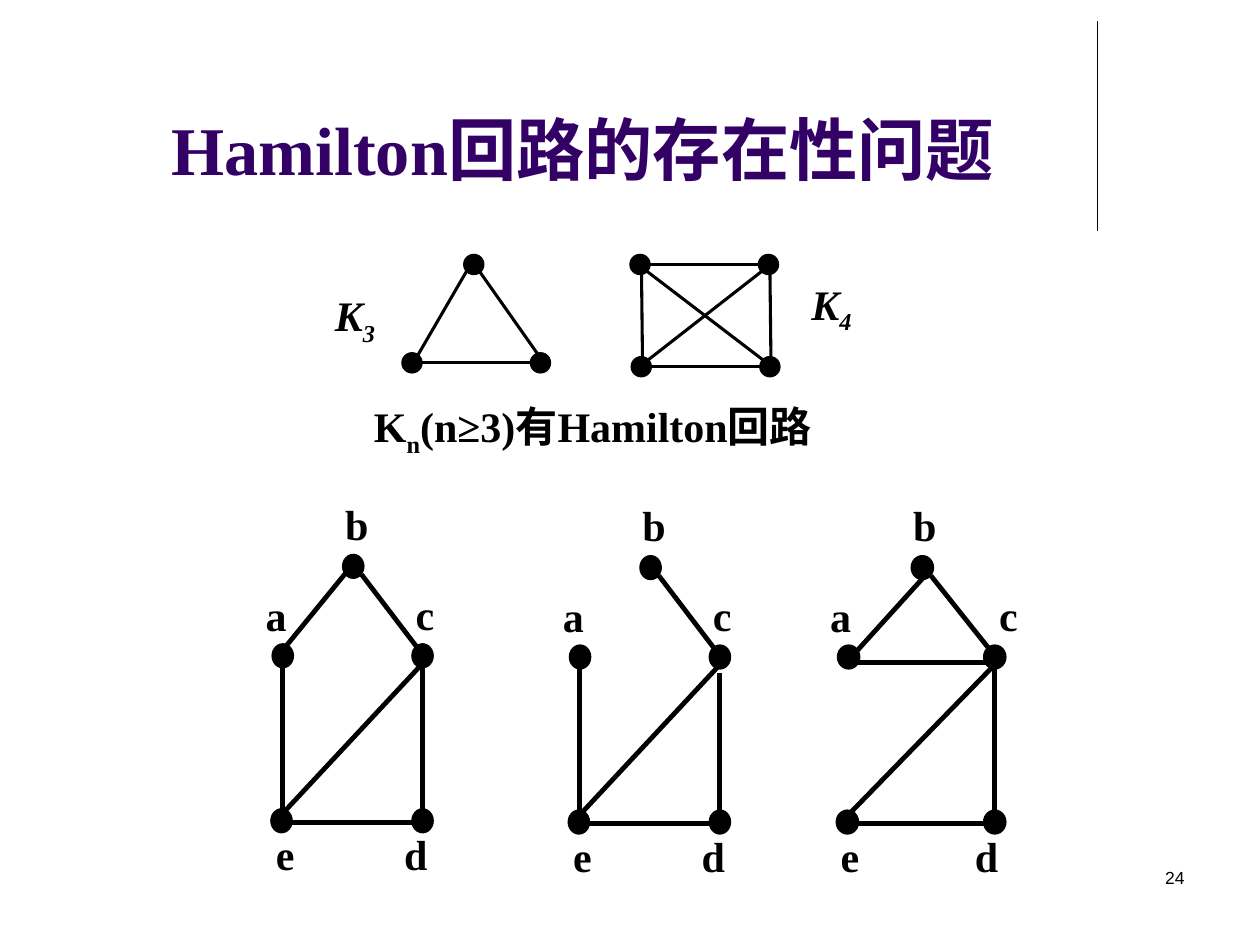
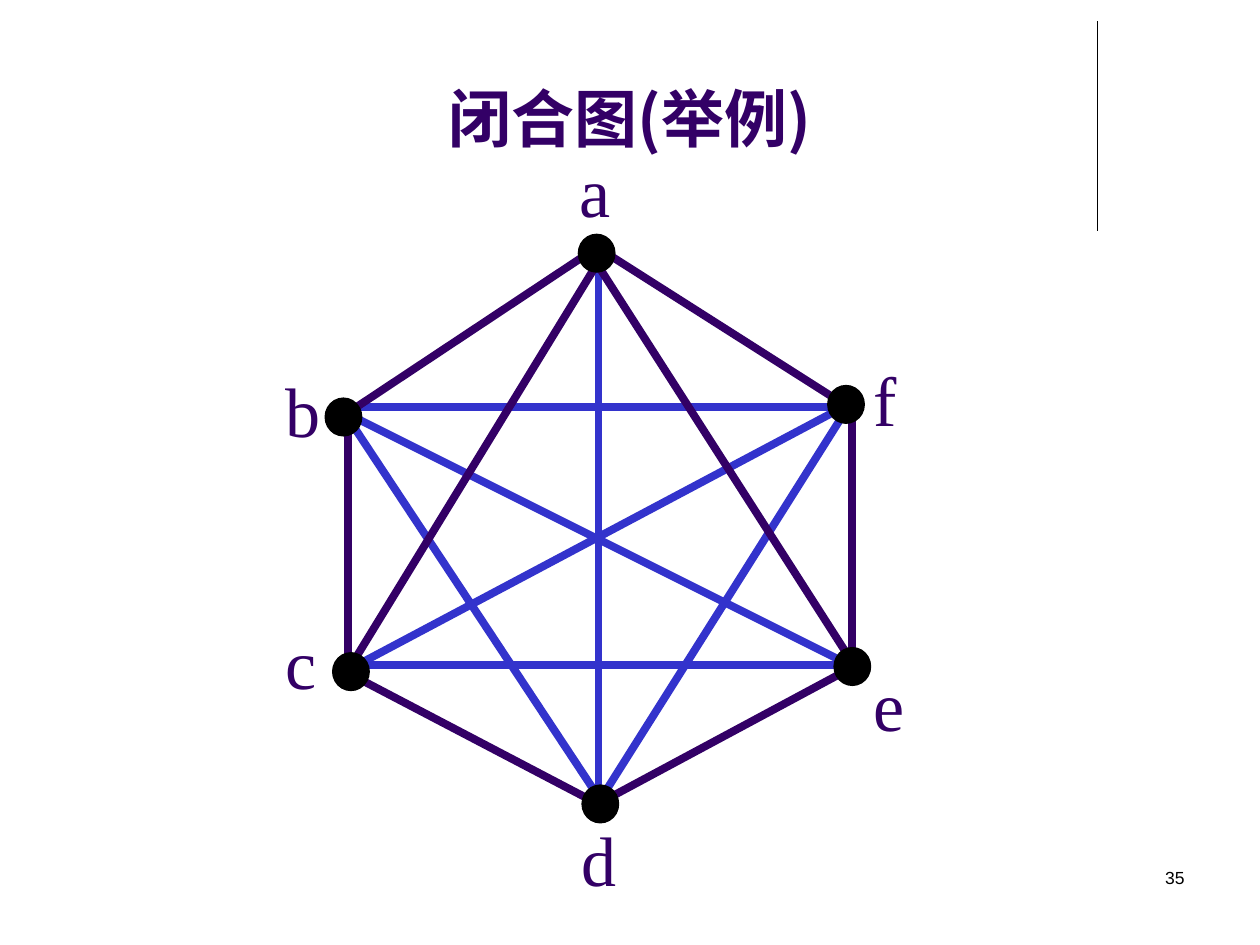
from lxml.etree import SubElement
from pptx import Presentation
from pptx.dml.color import RGBColor
from pptx.enum.shapes import MSO_CONNECTOR, MSO_SHAPE
from pptx.enum.text import MSO_ANCHOR, MSO_AUTO_SIZE, PP_ALIGN
from pptx.oxml.ns import qn
from pptx.util import Pt

BLACK = "000000"
PURPLE = "330066"
BLUE = "3333CC"
SERIF = "Times New Roman"
CJK = "Noto Sans CJK SC"


def add_line(s, x1, y1, x2, y2, color, width):
    c = s.shapes.add_connector(MSO_CONNECTOR.STRAIGHT, Pt(x1), Pt(y1), Pt(x2), Pt(y2))
    c.line.color.rgb = RGBColor.from_string(color)
    c.line.width = Pt(width)
    SubElement(c._element.spPr, qn("a:effectLst"))
    return c


def write(sp, text, size, font=SERIF, color=BLACK, bold=False, italic=False, align=PP_ALIGN.LEFT):
    tf = sp.text_frame
    tf.word_wrap = True
    tf.auto_size = MSO_AUTO_SIZE.NONE
    p = tf.paragraphs[0]
    p.alignment = align
    for i, part in enumerate(text.split("_")):
        if not part:
            continue
        r = p.add_run()
        r.text = part
        r.font.size = Pt(size)
        r.font.name = font
        r.font.bold = bold
        r.font.italic = italic
        r.font.color.rgb = RGBColor.from_string(color)
        rPr = r._r.get_or_add_rPr()
        SubElement(rPr, qn("a:ea")).set("typeface", CJK)
        if i % 2:
            rPr.set("baseline", "-25000")
    return p


prs = Presentation()
prs.slide_width, prs.slide_height = Pt(720), Pt(540)
layout = prs.slide_layouts[5]

slides = []
for title, box, size, font, number in [
    ("Hamilton回路的存在性问题", (36, 9.4, 594, 102.2), 39, SERIF, "24"),
    ("闭合图(举例)", (0, 32.4, 720, 59.8), 36, CJK, "35"),
]:
    s = prs.slides.add_slide(layout)
    sp = s.shapes.title
    sp.left, sp.top, sp.width, sp.height = [Pt(v) for v in box]
    write(sp, title, size, font, PURPLE, bold=True, align=PP_ALIGN.CENTER)
    sp.text_frame.vertical_anchor = MSO_ANCHOR.BOTTOM
    sp = s.shapes.add_textbox(Pt(516.2), Pt(491.8), Pt(167.8), Pt(36))
    write(sp, number, 10, "Arial", align=PP_ALIGN.RIGHT)
    slides.append(s)

existence, closure = slides
divider = add_line(existence, 627.1, 12.2, 627.1, 131.8, BLACK, 0.75)
layout.shapes.element.append(divider._element)

dots = []

sp = existence.shapes.add_textbox(Pt(206.6), Pt(218.9), Pt(283.7), Pt(51.1))
p = write(sp, "K_n_(n≥3)有Hamilton回路", 24, bold=True)
p.line_spacing = 1.2

for x1, y1, x2, y2 in [
    (241.2, 207.4, 303.1, 207.4), (272.2, 145.4, 238.3, 203.8), (274.3, 155.5, 310.3, 206.6),
    (371.5, 151.2, 433.4, 151.2), (436.3, 205.9, 369.4, 154.8), (372.2, 209.5, 434.2, 209.5),
    (440.6, 209.5, 439.9, 147.6), (367.2, 211, 366.5, 148.3), (370.1, 205.9, 435.6, 154.8),
]:
    add_line(existence, x1, y1, x2, y2, BLACK, 1.75)

for x, y in [
    (229.7, 201.6), (303.1, 201.6), (265, 145.4),
    (360, 145.4), (433.4, 145.4), (360.7, 203.8), (434.2, 203.8),
]:
    dots.append((existence, MSO_SHAPE.FLOWCHART_CONNECTOR, x, y, 11.5, 11.5))

for text, x, y in [("K_3", 184.3, 162), ("K_4", 456.5, 155.5)]:
    sp = existence.shapes.add_textbox(Pt(x), Pt(y), Pt(56.9), Pt(39.6))
    write(sp, text, 24, bold=True, italic=True)

edges = {
    "ab": (18.7, 87.8, 53.3, 45.4),
    "ab_wide": (19.3, 92.2, 59.9, 45.4),
    "ac": (17.3, 96.5, 97.2, 96.5),
    "ae": (16.6, 97.9, 16.6, 182.9),
    "bc": (61.9, 46.8, 96.5, 92.2),
    "cd": (96.5, 97.9, 96.5, 182.9),
    "cd_low": (96.5, 102.2, 96.5, 187.2),
    "ce": (96.5, 97.9, 16.6, 183.6),
    "de": (96.5, 188.6, 16.6, 188.6),
}
vertices = [(10.8, 86.4), (51.1, 35.3), (90.7, 86.4), (90.7, 180.7), (10.1, 180.7)]

for x0, y0, scale, c_left, names in [
    (144.7, 281.5, 1, 85.7, ["ab", "ce", "cd", "de", "ae", "bc"]),
    (314.6, 282.2, 1, 85.7, ["ce", "cd_low", "de", "ae", "bc"]),
    (467.3, 282.2, 1.045, 96.5, ["ce", "cd", "de", "ab_wide", "bc", "ac"]),
]:
    for name in names:
        x1, y1, x2, y2 = edges[name]
        add_line(existence, x0 + x1 * scale, y0 + y1, x0 + x2 * scale, y0 + y2, BLACK, 2.75)
    for x, y in vertices:
        dots.append((existence, MSO_SHAPE.OVAL, x0 + x * scale, y0 + y, 12.2 * scale, 13.7))
    for text, x, y in [
        ("a", 0, 51.8), ("b", 45.4 * scale, 0), ("c", c_left, 51.1),
        ("d", 79.2 * scale, 188.6), ("e", 5.8 * scale, 188.6),
    ]:
        sp = existence.shapes.add_textbox(Pt(x0 + x), Pt(y0 + y), Pt(28.1 * scale), Pt(36))
        write(sp, text, 24, bold=True)

blue_edges = [
    (201.6, 380.2, 489.6, 380.2), (342, 146.2, 342, 458.6), (203.8, 380.2, 486, 230.4),
    (198, 236.2, 486, 380.2), (196.6, 235.4, 347, 463), (342, 458.6, 486, 230.4),
    (198, 232.6, 486, 232.6),
]
purple_edges = [
    (198.7, 234.7, 198.7, 384.5), (336.2, 144.7, 201.6, 234), (485.3, 382.3, 347, 456.5),
    (342, 141.8, 482.4, 231.1), (198.7, 384.5, 336.2, 456.5), (339.1, 147.6, 485.3, 375.8),
    (344.9, 144.7, 201.6, 378.7), (486.7, 227.5, 486.7, 377.3),
]
for color, group in [(BLUE, blue_edges), (PURPLE, purple_edges)]:
    for x1, y1, x2, y2 in group:
        add_line(closure, x1, y1, x2, y2, color, 4.5)

for text, dot_x, dot_y, x, y in [
    ("a", 330.5, 133.9, 324, 80.6),
    ("b", 185.8, 227.5, 156.2, 206.6),
    ("c", 190.1, 373, 156.2, 350.6),
    ("d", 332.6, 448.6, 325.4, 463),
    ("e", 476.6, 370.1, 491.8, 374.4),
    ("f", 473, 220.3, 491.8, 200.2),
]:
    dots.append((closure, MSO_SHAPE.OVAL, dot_x, dot_y, 20.9, 21.6))
    sp = closure.shapes.add_textbox(Pt(x), Pt(y), Pt(34.6), Pt(55.4))
    write(sp, text, 40, color=PURPLE)

for s, kind, x, y, w, h in dots:
    sp = s.shapes.add_shape(kind, Pt(x), Pt(y), Pt(w), Pt(h))
    sp.shadow.inherit = False
    sp.fill.solid()
    sp.fill.fore_color.rgb = RGBColor.from_string(BLACK)
    sp.line.color.rgb = RGBColor.from_string(BLACK)
    sp.line.width = Pt(0.75)

prs.save("out.pptx")
